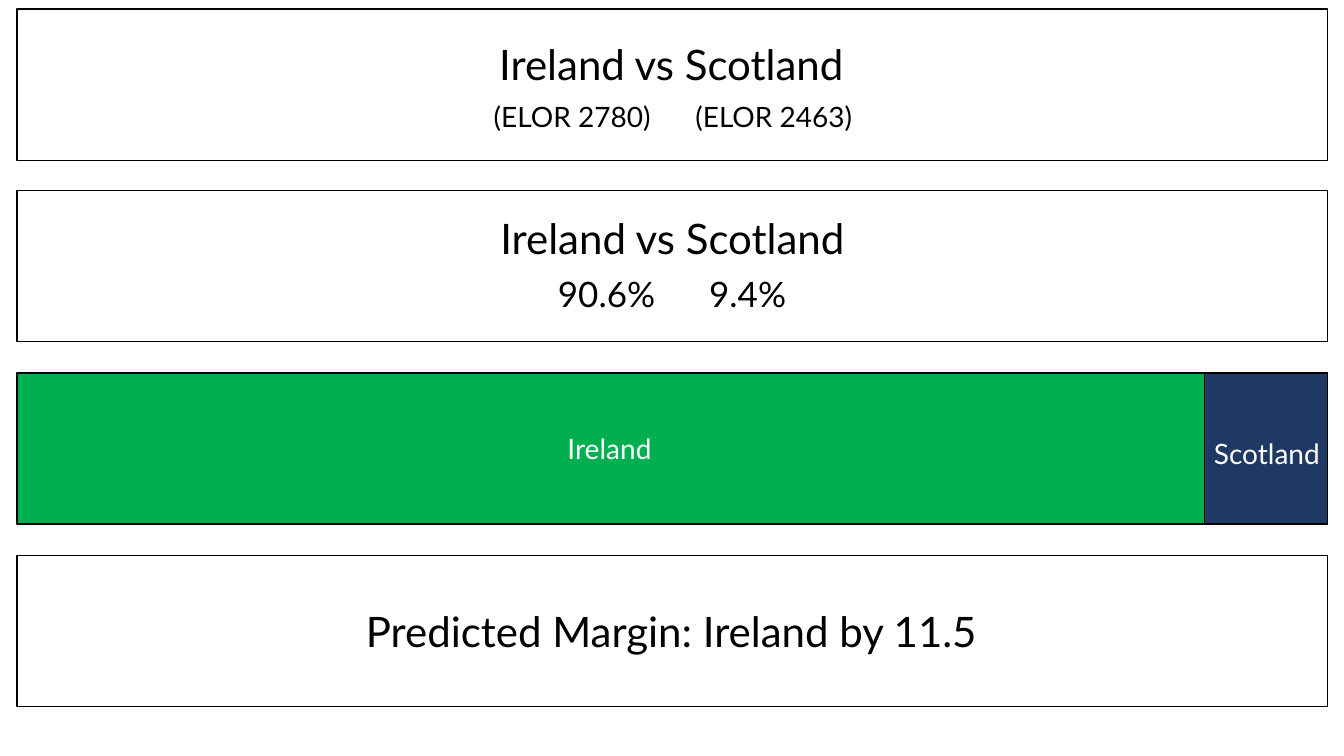
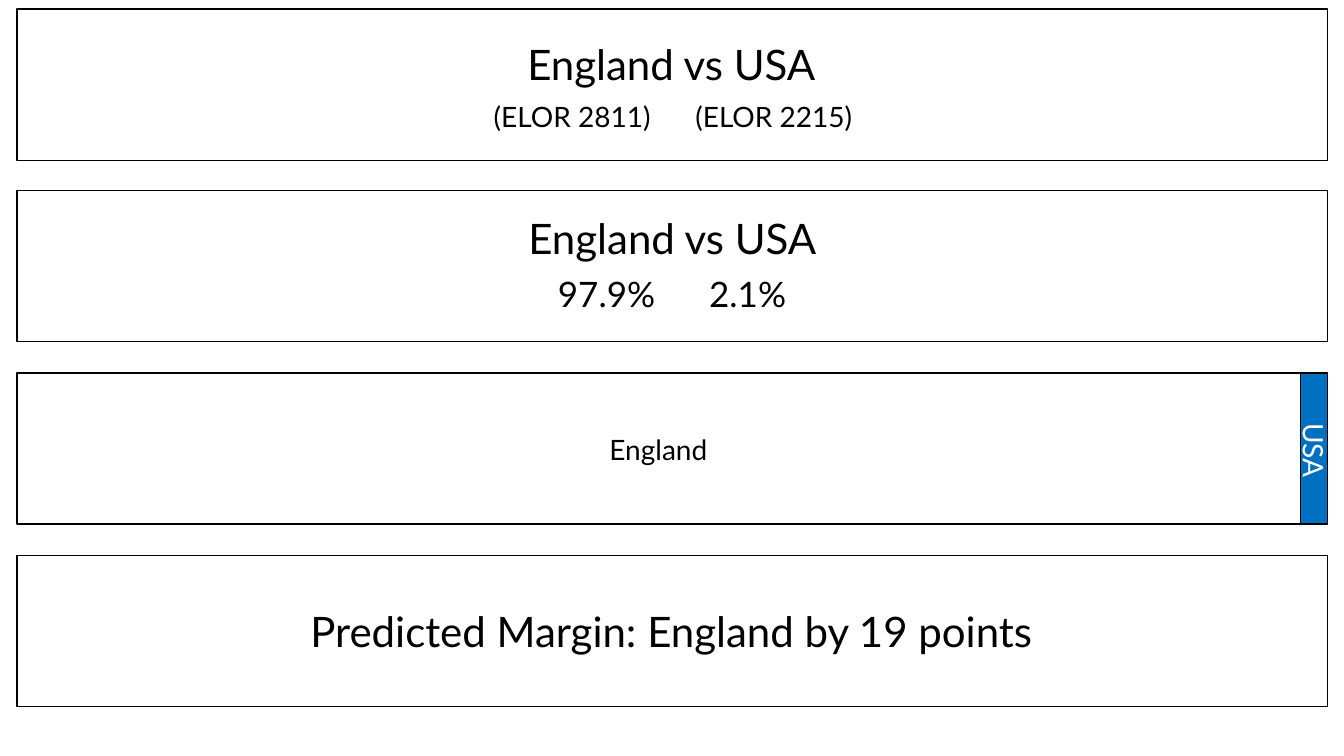
from pptx import Presentation
from pptx.dml.color import RGBColor
from pptx.enum.shapes import MSO_SHAPE
from pptx.enum.text import MSO_AUTO_SIZE, PP_ALIGN
from pptx.util import Inches, Pt

BLACK = RGBColor(0x00, 0x00, 0x00)
WHITE = RGBColor(0xFF, 0xFF, 0xFF)
GREEN = RGBColor(0x00, 0xB0, 0x50)
NAVY = RGBColor(0x20, 0x38, 0x64)
BLUE = RGBColor(0x00, 0x70, 0xC0)
FONT = "Lato"

BAND_LEFT, BAND_WIDTH, BAND_HEIGHT = 0.17, 13, 1.5
RATING_TOP, CHANCE_TOP, BAR_TOP, MARGIN_TOP = 0.09, 1.89, 3.7, 5.51

# label_box is left, top, width, height in inches
MATCHES = [
    {
        "margin": "Ireland by 11.5",
        "teams": [
            {"name": "Ireland", "rating": 2780, "chance": 90.6, "fill": GREEN,
             "text": WHITE, "label_box": (0.15, 4.23, 11.79, 0.44)},
            {"name": "Scotland", "rating": 2463, "chance": 9.4, "fill": NAVY,
             "text": WHITE, "label_box": (11.89, 4.28, 1.35, 0.44)},
        ],
    },
    {
        "margin": "England by 19 points",
        "teams": [
            {"name": "England", "rating": 2811, "chance": 97.9, "fill": WHITE,
             "text": BLACK, "label_box": (0.17, 4.24, 12.72, 0.44)},
            {"name": "USA", "rating": 2215, "chance": 2.1, "fill": BLUE,
             "text": WHITE, "label_box": (12.3, 4.25, 1.46, 0.44), "rotation": 90},
        ],
    },
]


def add_box(slide, left, top, width, fill=None):
    shape = slide.shapes.add_shape(
        MSO_SHAPE.RECTANGLE, Inches(left), Inches(top), Inches(width), Inches(BAND_HEIGHT))
    shape.shadow.inherit = False
    if fill is None:
        shape.fill.background()
    else:
        shape.fill.solid()
        shape.fill.fore_color.rgb = fill
    shape.line.color.rgb = BLACK
    shape.line.width = Pt(1)


def add_label(slide, text, box, size, color=BLACK, rotation=0):
    label = slide.shapes.add_textbox(*(Inches(length) for length in box))
    label.rotation = rotation
    frame = label.text_frame
    frame.word_wrap = True
    frame.auto_size = MSO_AUTO_SIZE.SHAPE_TO_FIT_TEXT
    paragraph = frame.paragraphs[0]
    paragraph.text = text
    paragraph.alignment = PP_ALIGN.CENTER
    paragraph.font.name = FONT
    paragraph.font.size = Pt(size)
    paragraph.font.color.rgb = color


def add_chance_bar(slide, teams):
    """Split one band between the teams in proportion to their chances."""
    left = BAND_LEFT
    for team in teams:
        width = BAND_WIDTH * team["chance"] / 100
        add_box(slide, left, BAR_TOP, width, team["fill"])
        left += width
    for team in teams:
        add_label(slide, team["name"], team["label_box"], 20,
                  team["text"], team.get("rotation", 0))


def add_match_slide(presentation, match):
    slide = presentation.slides.add_slide(presentation.slide_layouts[6])
    teams = match["teams"]
    title = " vs ".join(team["name"] for team in teams)
    ratings = "\t".join(f"(ELOR {team['rating']})" for team in teams)
    chances = "\t\t".join(f"{team['chance']}%" for team in teams)

    for top in (RATING_TOP, CHANCE_TOP, MARGIN_TOP):
        add_box(slide, BAND_LEFT, top, BAND_WIDTH)
    add_label(slide, title, (0.16, 0.33, 13, 0.61), 30)
    add_label(slide, ratings, (0.17, 0.94, 13.01, 0.44), 20)
    add_label(slide, title, (0.17, 2.06, 13, 0.61), 30)
    add_label(slide, chances, (0.17, 2.65, 12.99, 0.52), 25)
    add_chance_bar(slide, teams)
    add_label(slide, f"Predicted Margin: {match['margin']}", (0.16, 5.96, 13, 0.61), 30)


def main():
    presentation = Presentation()
    presentation.slide_width = Inches(13.33)
    presentation.slide_height = Inches(7.5)
    for match in MATCHES:
        add_match_slide(presentation, match)
    presentation.save("out.pptx")


if __name__ == "__main__":
    main()
